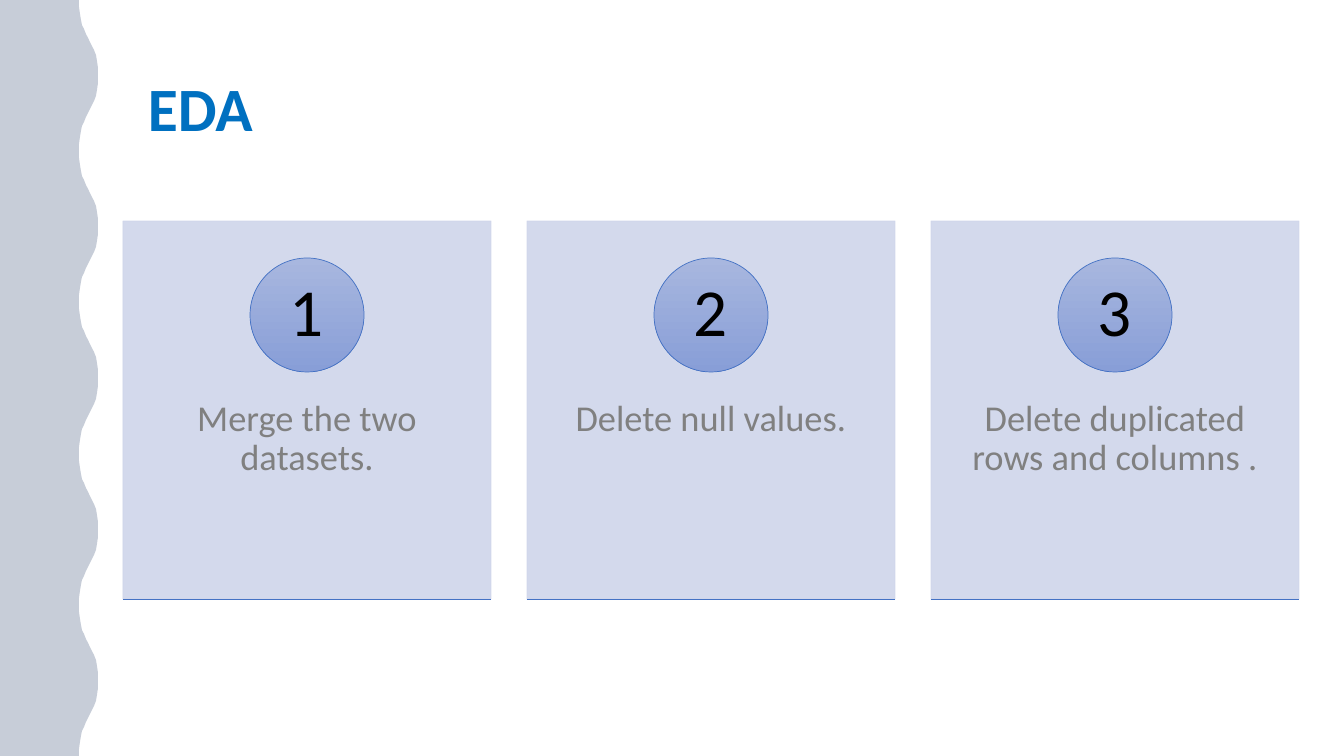
from dataclasses import dataclass

from lxml import etree
from pptx import Presentation, util as u
from pptx.dml.color import RGBColor
from pptx.enum import shapes, text
from pptx.oxml import ns

PIXEL = 914400 / 100.8
WIDTH, HEIGHT = 1344, 756


@dataclass(frozen=True)
class Theme:
    font: str = "Calibri"
    title: str = "0070C0"
    body: str = "808080"
    number: str = "000000"
    card: str = "CFD5EA"
    accent: str = "4472C4"
    circle_top: str = "A8B7DF"
    circle_bottom: str = "889ED7"
    wave: str = "203864"
    paper: str = "FFFFFF"
    title_size: int = 44
    number_size: int = 48
    body_size: int = 26
    line_width: float = 0.5


THEME = Theme()
STEPS = [
    "Merge the two datasets.",
    "Delete null values.",
    "Delete duplicated rows and columns .",
]
CARD_LEFT, CARD_TOP, CARD_WIDTH, CARD_HEIGHT, CARD_GAP = 123, 221, 368, 378, 36
CIRCLE_TOP, CIRCLE_SIZE = 258, 114

# Upper half of one wave: from the trough at the left to just before the crest
WAVE_COUNT = 5
WAVE_CREST = (98, 76)
WAVE_HALF = [(79, 0), (79, 7), (80, 14), (81, 20), (82, 25), (84, 29), (86, 34),
             (88, 38), (90, 42), (92, 46), (94, 50), (96, 55), (97, 61), (98, 68)]


def px(value):
    return u.Emu(round(value * PIXEL))


def color(value):
    return RGBColor.from_string(value)


def set_solid(fill, value, opacity=100):
    fill.solid()
    fill.fore_color.rgb = color(value)
    if opacity < 100:
        element = fill._xPr.find(ns.qn("a:solidFill"))[0]
        etree.SubElement(element, ns.qn("a:alpha"), val=str(opacity * 1000))


def set_line(line, value, opacity=100):
    set_solid(line.fill, value, opacity)
    line.width = u.Pt(THEME.line_width)


def set_text(shape, words, size, value, margins, anchor, align, bold=False):
    frame = shape.text_frame
    frame.text = words
    frame.word_wrap = True
    frame.vertical_anchor = anchor
    (frame.margin_left, frame.margin_top,
     frame.margin_right, frame.margin_bottom) = map(px, margins)
    paragraph = frame.paragraphs[0]
    paragraph.alignment = align
    paragraph.line_spacing = 0.9
    font = paragraph.runs[0].font
    font.name, font.size, font.bold = THEME.font, u.Pt(size), bold
    font.color.rgb = color(value)


def add_title(slide, words):
    box = slide.shapes.add_textbox(px(138), px(73), px(661), px(164))
    set_text(box, words, THEME.title_size, THEME.title, (10, 5, 10, 5),
             text.MSO_ANCHOR.TOP, text.PP_ALIGN.LEFT, bold=True)


def add_wave(slide, value, opacity=100):
    period = HEIGHT / WAVE_COUNT
    lower_half = [(x, period - y) for x, y in reversed(WAVE_HALF[1:])]
    wave = WAVE_HALF + [WAVE_CREST] + lower_half
    edge = [(x, y + period * index) for index in range(WAVE_COUNT) for x, y in wave]
    builder = slide.shapes.build_freeform(0, 0, scale=PIXEL)
    builder.add_line_segments(edge + [(WAVE_HALF[0][0], HEIGHT), (0, HEIGHT)], close=True)
    shape = builder.convert_to_shape()
    shape.shadow.inherit = False
    set_solid(shape.fill, value, opacity)
    shape.line.fill.background()


def add_card(slide, left, words):
    card = slide.shapes.add_shape(shapes.MSO_SHAPE.RECTANGLE, px(left), px(CARD_TOP),
                                  px(CARD_WIDTH), px(CARD_HEIGHT))
    card.shadow.inherit = False
    set_solid(card.fill, THEME.card, 90)
    set_line(card.line, THEME.card, 90)
    set_text(card, words, THEME.body_size, THEME.body, (28, 179, 28, 44),
             text.MSO_ANCHOR.TOP, text.PP_ALIGN.CENTER)


def add_number(slide, center, number):
    circle = slide.shapes.add_shape(shapes.MSO_SHAPE.OVAL, px(center - CIRCLE_SIZE / 2),
                                    px(CIRCLE_TOP), px(CIRCLE_SIZE), px(CIRCLE_SIZE))
    circle.shadow.inherit = False
    circle.fill.gradient()
    circle.fill.gradient_angle = 270
    for stop, value in zip(circle.fill.gradient_stops,
                           (THEME.circle_top, THEME.circle_bottom)):
        stop.color.rgb = color(value)
    set_line(circle.line, THEME.accent)
    set_text(circle, str(number), THEME.number_size, THEME.number, (9, 1, 9, 1),
             text.MSO_ANCHOR.MIDDLE, text.PP_ALIGN.CENTER)


def add_rule(slide, left, top, width):
    rule = slide.shapes.add_connector(shapes.MSO_CONNECTOR.STRAIGHT, px(left), px(top),
                                      px(left + width), px(top))
    set_line(rule.line, THEME.accent)
    etree.SubElement(rule._element.spPr, ns.qn("a:effectLst"))


def main():
    presentation = Presentation()
    presentation.slide_width, presentation.slide_height = px(WIDTH), px(HEIGHT)
    slide = presentation.slides.add_slide(presentation.slide_layouts[6])

    # Title and wavy band: a white backing under a translucent tint
    add_title(slide, "EDA")
    add_wave(slide, THEME.paper)
    add_wave(slide, THEME.wave, 25)

    # Numbered step cards
    for index, words in enumerate(STEPS):
        left = CARD_LEFT + index * (CARD_WIDTH + CARD_GAP)
        add_card(slide, left, words)
        add_number(slide, left + CARD_WIDTH / 2, index + 1)
        add_rule(slide, left, CARD_TOP + CARD_HEIGHT, CARD_WIDTH)

    presentation.save("out.pptx")


main()
